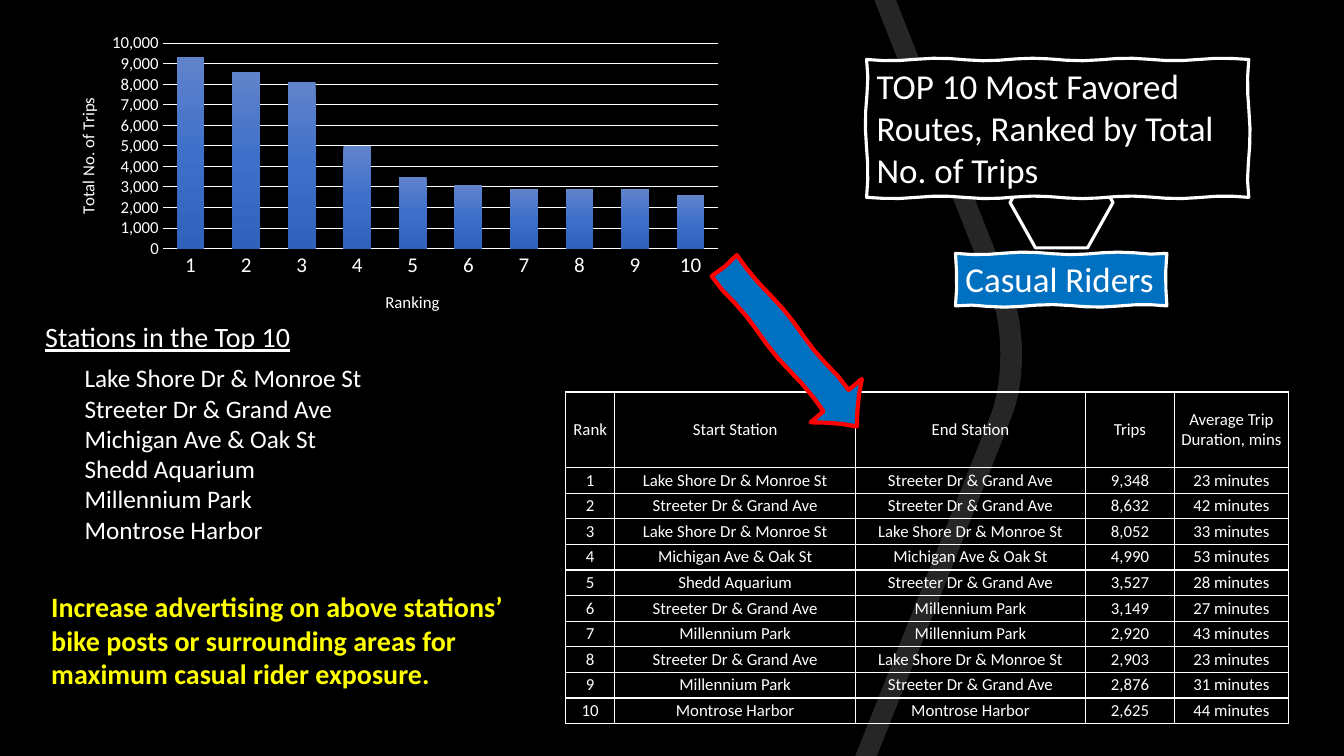
import math

import pptx
import pptx.chart.data
import pptx.dml.color
import pptx.enum.chart
import pptx.enum.shapes
import pptx.enum.text
import pptx.oxml
import pptx.oxml.ns
import pptx.util
from lxml import etree

Pt = pptx.util.Pt
qn = pptx.oxml.ns.qn
NS = pptx.oxml.ns.nsdecls
FONT = "Calibri"
HUES = {"black": "000000", "white": "FFFFFF", "blue": "0070C0",
        "red": "FF0000", "yellow": "FFFF00",
        "top": "6183CB", "mid": "3E70CA", "low": "3062BB"}

LAKE, GRAND, OAK = ("Lake Shore Dr & Monroe St", "Streeter Dr & Grand Ave",
                    "Michigan Ave & Oak St")
SHEDD, PARK, PORT = "Shedd Aquarium", "Millennium Park", "Montrose Harbor"
HEADS = ["Rank", "Start Station", "End Station", "Trips",
         "Average Trip Duration, mins"]
ROUTES = [(LAKE, GRAND, 9348, 23), (GRAND, GRAND, 8632, 42),
          (LAKE, LAKE, 8052, 33), (OAK, OAK, 4990, 53),
          (SHEDD, GRAND, 3527, 28), (GRAND, PARK, 3149, 27),
          (PARK, PARK, 2920, 43), (GRAND, LAKE, 2903, 23),
          (PARK, GRAND, 2876, 31), (PORT, PORT, 2625, 44)]
TRIPS = [9300, 8600, 8100, 5000, 3500, 3100, 2900, 2900, 2900, 2600]


def rgb(name):
    return pptx.dml.color.RGBColor.from_string(HUES[name])


def style(font, size, hue="white", bold=False):
    font.name, font.size, font.bold = FONT, Pt(size), bold
    font.color.rgb = rgb(hue)


def write(frame, lines, size, hue="white", bold=False):
    """Fill a text frame with left-aligned paragraphs."""
    frame.word_wrap = True
    frame.auto_size = pptx.enum.text.MSO_AUTO_SIZE.NONE
    frame.vertical_anchor = pptx.enum.text.MSO_ANCHOR.TOP
    frame.text = "\n".join(lines)
    for para in frame.paragraphs:
        para.alignment = pptx.enum.text.PP_ALIGN.LEFT
        para.line_spacing = 1.0
        style(para.font, size, hue, bold)


def add_text(slide, box, lines, size, **look):
    frame = slide.shapes.add_textbox(*map(Pt, box)).text_frame
    write(frame, lines, size, **look)
    return frame


def trace(slide, points, fill, line=None, width=0):
    """Draw a closed outline through points."""
    spots = [(Pt(x), Pt(y)) for x, y in points]
    pen = slide.shapes.build_freeform(*spots[0])
    pen.add_line_segments(spots[1:], close=True)
    shape = pen.convert_to_shape()
    shape.shadow.inherit = False
    shape.fill.solid()
    shape.fill.fore_color.rgb = rgb(fill)
    if line:
        shape.line.color.rgb = rgb(line)
        shape.line.width = Pt(width)
    else:
        shape.line.fill.background()
    return shape


def sketch(points):
    """Give straight edges a hand-drawn waver."""
    rough = []
    for (x, y), (u, v) in zip(points, points[1:] + points[:1]):
        size = math.hypot(u - x, v - y)
        steps = max(1, round(size / 12))
        for i in range(steps):
            part = i / steps
            off = 0.9 * math.sin(1.1 * i)
            rough.append((x + (u - x) * part - (v - y) / size * off,
                          y + (v - y) * part + (u - x) / size * off))
    return rough


def frame_box(slide, box, fill):
    x, y, w, h = box
    ends = [(x, y), (x + w, y), (x + w, y + h), (x, y + h)]
    return trace(slide, sketch(ends), fill, "white", 2.25)


def add_road(slide):
    bend = []
    for i in range(13):
        t = i / 12
        side = 3 * t * (1 - t)
        bend.append((723.6 + 8.6 * side,
                     211 + 84.2 * t ** 3 + side * (24.4 * (1 - t) + 60.4 * t)))
    edge = [(640, 0)] + bend + [(626.4, 540)]
    far = [(x - 15.5, y) for x, y in reversed(edge)]
    road = trace(slide, edge + far, "white")
    tint = road.fill._xPr.find(".//" + qn("a:srgbClr"))
    etree.SubElement(tint, qn("a:alpha")).set("val", "15000")


def add_link(slide):
    kind = pptx.enum.shapes.MSO_SHAPE.HEXAGON
    link = slide.shapes.add_shape(kind, Pt(721.5), Pt(112.3), Pt(73.5), Pt(64.8))
    link.adjustments[0] = 0.28
    link.shadow.inherit = False
    link.fill.background()
    link.line.color.rgb = rgb("white")
    link.line.width = Pt(2.25)


def lay(parent, spot, **sizes):
    """Place a chart part by fractions of the chart."""
    for old in parent.findall(qn("c:layout")):
        parent.remove(old)
    target = '<c:layoutTarget val="inner"/>' if "w" in sizes else ""
    modes = "".join(f'<c:{k}Mode val="edge"/>' for k in "xy")
    values = "".join(f'<c:{k} val="{v}"/>' for k, v in sizes.items())
    parent.insert(spot, pptx.oxml.parse_xml(
        f'<c:layout {NS("c")}><c:manualLayout>{target}{modes}{values}'
        '</c:manualLayout></c:layout>'))


def name_axis(axis, text, x, y):
    title = axis.axis_title
    title.text_frame.text = text
    style(title.text_frame.paragraphs[0].font, 12)
    lay(title._element, 1, x=x, y=y)


def add_bars(slide):
    data = pptx.chart.data.CategoryChartData(number_format="#,##0")
    data.categories = [str(n + 1) for n in range(len(TRIPS))]
    data.add_series("Series 1", TRIPS)
    kind = pptx.enum.chart.XL_CHART_TYPE.COLUMN_CLUSTERED
    box = map(Pt, (33, 20, 490, 216))
    chart = slide.shapes.add_chart(kind, *box, data).chart
    chart.has_legend = chart.has_title = False
    style(chart.font, 10)
    plot = chart.plots[0]
    plot.gap_width, plot.overlap, plot.vary_by_categories = 100, -24, False
    stops = "".join(f'<a:gs pos="{p}"><a:srgbClr val="{HUES[k]}"/></a:gs>'
                    for p, k in ((0, "top"), (50000, "mid"), (100000, "low")))
    plot.series[0]._element.get_or_add_spPr().append(pptx.oxml.parse_xml(
        f'<a:gradFill {NS("a")}><a:gsLst>{stops}</a:gsLst>'
        '<a:lin ang="5400000" scaled="0"/></a:gradFill>'))
    ranks, count = chart.category_axis, chart.value_axis
    for axis, size in ((ranks, 15), (count, 12)):
        axis.major_tick_mark = pptx.enum.chart.XL_TICK_MARK.NONE
        style(axis.tick_labels.font, size)
    ranks.format.line.color.rgb = rgb("white")
    ranks.format.line.width = Pt(1)
    count.format.line.fill.background()
    count.minimum_scale, count.maximum_scale, count.major_unit = 0, 10000, 1000
    count.tick_labels.number_format = "#,##0"
    count.tick_labels.number_format_is_linked = False
    count.major_gridlines.format.line.color.rgb = rgb("white")
    count.major_gridlines.format.line.width = Pt(0.75)
    name_axis(ranks, "Ranking", 0.49, 0.86)
    name_axis(count, "Total No. of Trips", 0.04, 0.22)
    lay(chart._chartSpace.chart.plotArea, 0, x=0.17, y=0.05, w=0.81, h=0.68)


def fill_cell(cell, text):
    cell.margin_left = cell.margin_right = 0
    cell.margin_top = cell.margin_bottom = 0
    cell.vertical_anchor = pptx.enum.text.MSO_ANCHOR.MIDDLE
    cell.text = text
    para = cell.text_frame.paragraphs[0]
    para.alignment = pptx.enum.text.PP_ALIGN.CENTER
    style(para.font, 12)
    cell.fill.background()
    for i, side in enumerate("LRTB"):
        cell._tc.tcPr.insert(i, pptx.oxml.parse_xml(
            f'<a:ln{side} {NS("a")} w="12700"><a:solidFill>'
            f'<a:srgbClr val="{HUES["white"]}"/></a:solidFill></a:ln{side}>'))


def add_routes(slide):
    rows = [HEADS] + [[str(n), start, end, f"{trips:,}", f"{mins} minutes"]
                      for n, (start, end, trips, mins) in enumerate(ROUTES, 1)]
    box = map(Pt, (404, 280, 516.4, 237))
    table = slide.shapes.add_table(len(rows), len(HEADS), *box).table
    table.first_row = table.horz_banding = False
    for col, width in zip(table.columns, (35.2, 172, 164.2, 63.6, 81.4)):
        col.width = Pt(width)
    for r, row in enumerate(rows):
        table.rows[r].height = Pt(18.3 if r else 54)
        for c, text in enumerate(row):
            fill_cell(table.cell(r, c), text)


def add_title(slide, box, text):
    frame_box(slide, box, "black")
    title = slide.shapes.title
    title.left, title.top, title.width, title.height = map(Pt, box)
    write(title.text_frame, [text], 25)
    slide.shapes._spTree.append(title._element)


def main():
    deck = pptx.Presentation()
    deck.slide_width, deck.slide_height = Pt(960), Pt(540)
    slide = deck.slides.add_slide(deck.slide_layouts[5])
    slide.background.fill.solid()
    slide.background.fill.fore_color.rgb = rgb("black")
    add_road(slide)
    add_link(slide)
    add_title(slide, (619, 42.5, 273, 98.5),
              "TOP 10 Most Favored Routes, Ranked by Total No. of Trips")
    riders = frame_box(slide, (682.5, 181, 151, 37.5), "blue")
    write(riders.text_frame, ["Casual Riders"], 25)
    add_text(slide, (53.3, 255.6, 275, 138),
             [LAKE, GRAND, OAK, SHEDD, PARK, PORT], 18)
    head = add_text(slide, (25.2, 224.6, 194.4, 32), ["Stations in the Top 10"], 20)
    head.paragraphs[0].font.underline = True
    add_routes(slide)
    arrow = [(579, 301.7), (588.2, 293.8), (508.3, 197.3), (526.3, 182.2),
             (606.2, 278.6), (615.6, 270.7), (612, 304.6)]
    trace(slide, sketch(arrow), "blue", "red", 3)
    add_bars(slide)
    add_text(slide, (29.5, 417.6, 349.2, 80),
             ["Increase advertising on above stations’ bike posts or "
              "surrounding areas for maximum casual rider exposure."],
             20, hue="yellow", bold=True)
    deck.save("out.pptx")


if __name__ == "__main__":
    main()
